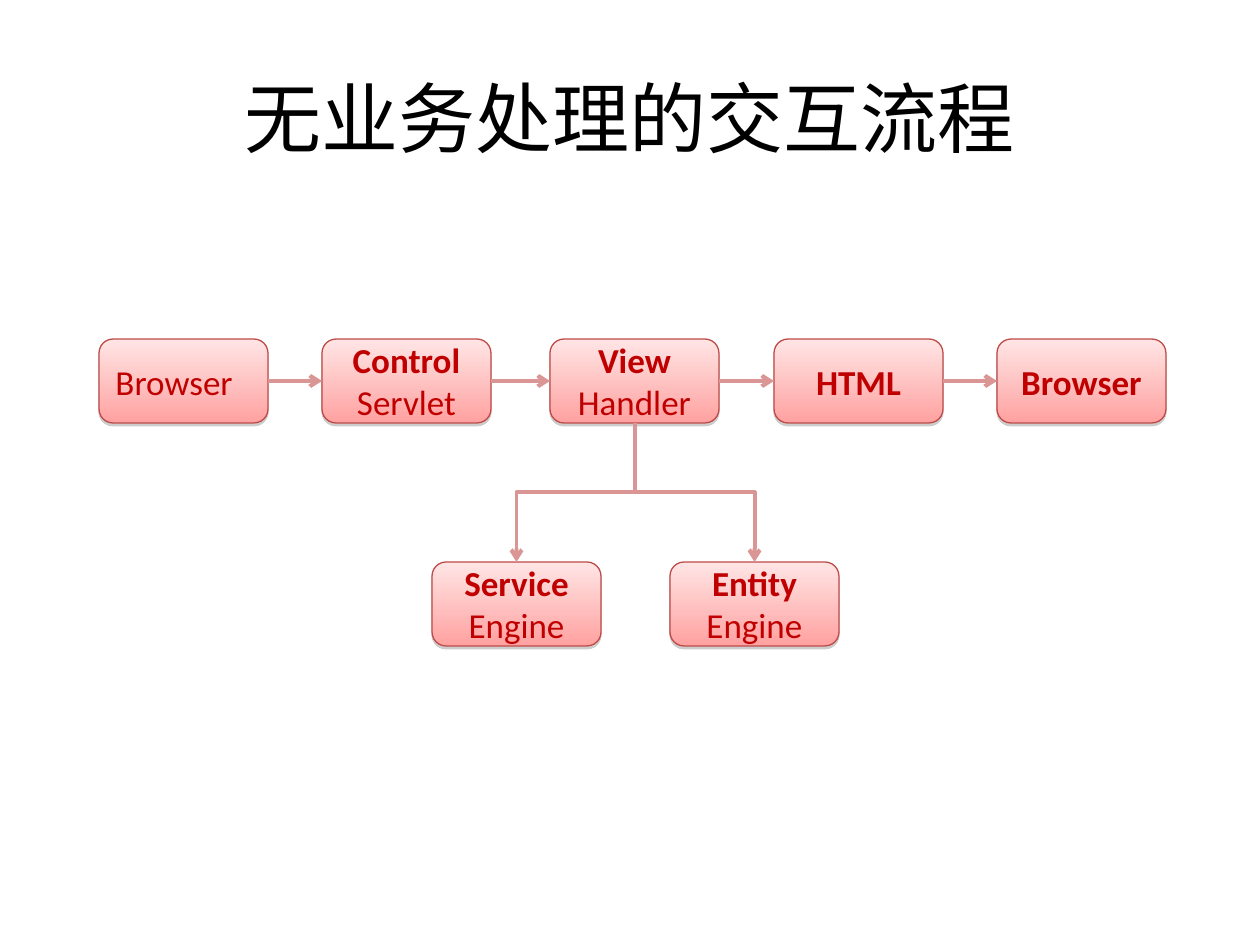
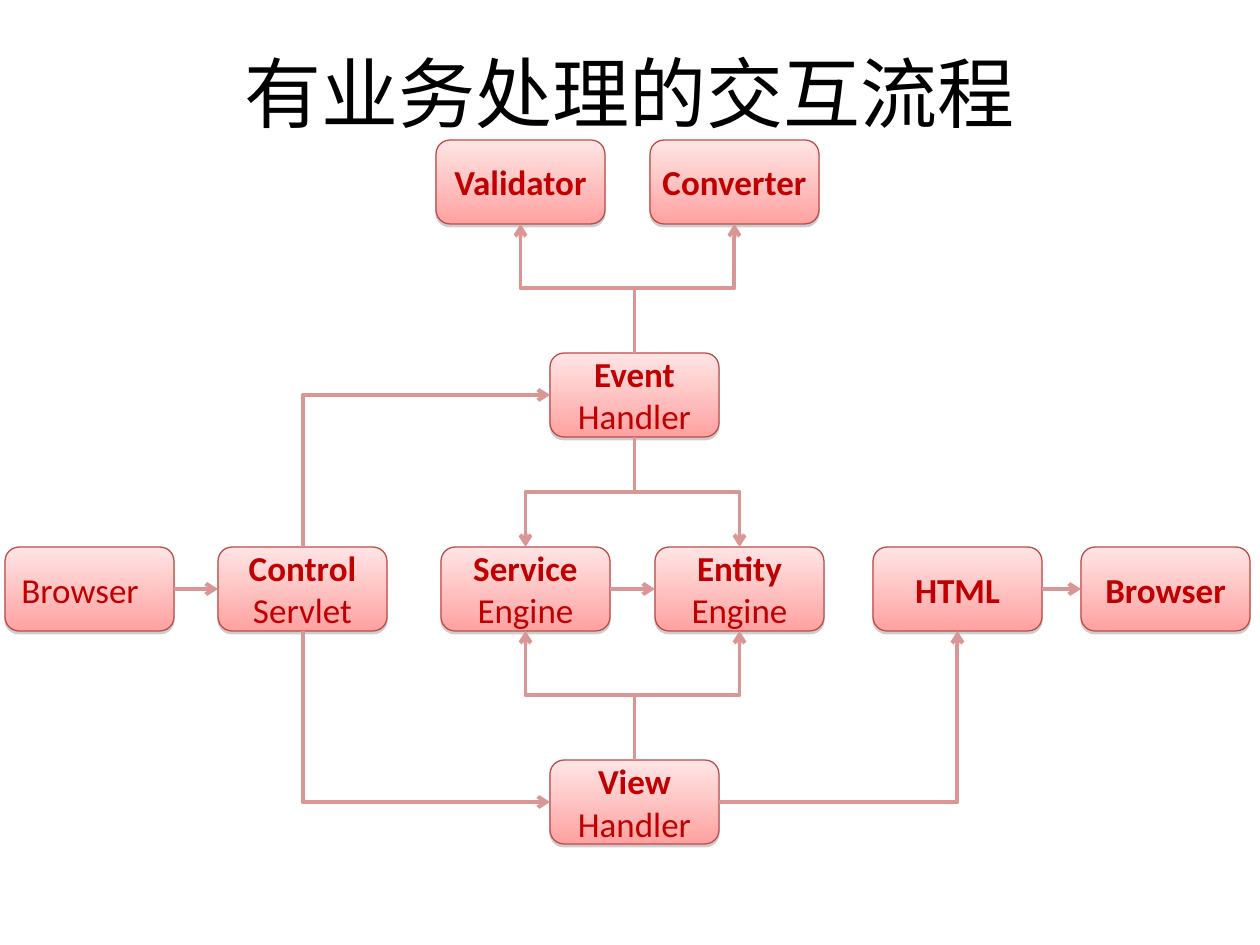
from dataclasses import dataclass
from enum import IntEnum

from lxml.etree import SubElement
from pptx import Presentation
from pptx.dml.color import RGBColor
from pptx.enum.shapes import MSO_CONNECTOR, MSO_SHAPE
from pptx.enum.text import MSO_ANCHOR, PP_ALIGN
from pptx.oxml.ns import qn
from pptx.shapes.autoshape import Shape
from pptx.slide import Slide
from pptx.util import Emu, Pt

EMU_PER_PX = 914400 / 126
FONT = "Calibri"
COLORS = {
    "title": "000000",
    "text": "C00000",
    "top": "FFE5E5",
    "bottom": "FFA2A1",
    "border": "BE4B48",
    "arrow": "D99694",
    "shadow": "808080",
}
BOX_WIDTH, BOX_HEIGHT = 169, 84
CENTER_LEFT = 550


class Side(IntEnum):
    """Connection sites of a box."""

    TOP = 0
    LEFT = 1
    BOTTOM = 2
    RIGHT = 3


@dataclass(frozen=True)
class Node:
    """A labelled box; a plain one is light and left-aligned."""

    key: str
    label: str
    left: int
    top: int
    plain: bool = False


@dataclass(frozen=True)
class Link:
    """An arrow between the sides of two boxes."""

    start: str
    end: str
    start_side: Side = Side.RIGHT
    end_side: Side = Side.LEFT


@dataclass(frozen=True)
class Flow:
    """One slide: a title, its boxes and its arrows."""

    title: str
    title_top: int
    nodes: list[Node]
    links: list[Link]


def fork(start: str, ends: tuple[str, str], side: Side) -> list[Link]:
    """Return arrows that leave one side of a box for the facing side of two others."""
    facing = Side.TOP if side == Side.BOTTOM else Side.BOTTOM
    return [Link(start, end, side, facing) for end in ends]


ENGINES = ("service", "entity")
MAIN_ROW, ENGINE_ROW = 339, 562
CHECK_ROW, EVENT_ROW, MIDDLE_ROW, VIEW_ROW = 140, 353, 547, 760

FLOWS = [
    Flow(
        "无业务处理的交互流程",
        38,
        [
            Node("request", "Browser", 99, MAIN_ROW, plain=True),
            Node("control", "Control\nServlet", 322, MAIN_ROW),
            Node("view", "View\nHandler", CENTER_LEFT, MAIN_ROW),
            Node("html", "HTML", 774, MAIN_ROW),
            Node("response", "Browser", 997, MAIN_ROW),
            Node("service", "Service\nEngine", 432, ENGINE_ROW),
            Node("entity", "Entity\nEngine", 670, ENGINE_ROW),
        ],
        [
            Link("request", "control"),
            Link("control", "view"),
            Link("view", "html"),
            Link("html", "response"),
            *fork("view", ENGINES, Side.BOTTOM),
        ],
    ),
    Flow(
        "有业务处理的交互流程",
        13,
        [
            Node("validator", "Validator", 436, CHECK_ROW),
            Node("converter", "Converter", 650, CHECK_ROW),
            Node("event", "Event\nHandler", CENTER_LEFT, EVENT_ROW),
            Node("request", "Browser", 5, MIDDLE_ROW, plain=True),
            Node("control", "Control\nServlet", 218, MIDDLE_ROW),
            Node("service", "Service\nEngine", 441, MIDDLE_ROW),
            Node("entity", "Entity\nEngine", 655, MIDDLE_ROW),
            Node("html", "HTML", 873, MIDDLE_ROW),
            Node("response", "Browser", 1081, MIDDLE_ROW),
            Node("view", "View\nHandler", CENTER_LEFT, VIEW_ROW),
        ],
        [
            Link("request", "control"),
            Link("service", "entity"),
            Link("html", "response"),
            Link("control", "event", Side.TOP),
            Link("control", "view", Side.BOTTOM),
            Link("view", "html", Side.RIGHT, Side.BOTTOM),
            *fork("event", ("validator", "converter"), Side.TOP),
            *fork("event", ENGINES, Side.BOTTOM),
            *fork("view", ENGINES, Side.TOP),
        ],
    ),
]


def px(length: int) -> Emu:
    """Convert pixels to EMU."""
    return Emu(round(length * EMU_PER_PX))


def color(name: str) -> RGBColor:
    """Look up a colour by its role."""
    return RGBColor.from_string(COLORS[name])


def write(shape: Shape, text: str, size: int, color_name: str, align: PP_ALIGN) -> None:
    """Put vertically centred text in a shape."""
    frame = shape.text_frame
    frame.text = text
    frame.vertical_anchor = MSO_ANCHOR.MIDDLE
    for para in frame.paragraphs:
        para.alignment = align
        for span in para.runs:
            span.font.name = FONT
            span.font.size = Pt(size)
            span.font.color.rgb = color(color_name)


def add_title(page: Slide, text: str, top: int) -> None:
    """Draw the slide title."""
    box = page.shapes.add_textbox(px(63), px(top), px(1134), px(158))
    box.text_frame.word_wrap = True
    write(box, text, 44, "title", PP_ALIGN.CENTER)


def add_drop_shadow(shape: Shape) -> None:
    """Give a shape a short, sharp shadow below."""
    shape.shadow.inherit = False
    effects = shape.element.spPr.find(qn("a:effectLst"))
    shadow = SubElement(
        effects, qn("a:outerShdw"), blurRad="0", dist=str(Pt(1.6)),
        dir="5400000", rotWithShape="0",
    )
    tint = SubElement(shadow, qn("a:srgbClr"), val=COLORS["shadow"])
    SubElement(tint, qn("a:alpha"), val="38000")


def add_node(page: Slide, node: Node) -> Shape:
    """Draw a labelled box with a vertical gradient."""
    box = page.shapes.add_shape(
        MSO_SHAPE.ROUNDED_RECTANGLE,
        px(node.left), px(node.top), px(BOX_WIDTH), px(BOX_HEIGHT),
    )
    box.fill.gradient()
    box.fill.gradient_angle = 270
    for stop, name, position in zip(box.fill.gradient_stops, ("top", "bottom"), (0, 1)):
        stop.color.rgb = color(name)
        stop.position = position
    box.line.color.rgb = color("border")
    box.line.width = Pt(0.75)
    add_drop_shadow(box)
    align = PP_ALIGN.LEFT if node.plain else PP_ALIGN.CENTER
    write(box, node.label, 20, "text", align)
    box.text_frame.word_wrap = node.plain
    box.text_frame.paragraphs[0].runs[0].font.bold = not node.plain
    return box


def site(box: Shape, side: Side) -> tuple[int, int]:
    """Return the middle of one side of a box."""
    x = {Side.LEFT: 0, Side.RIGHT: box.width}.get(side, box.width // 2)
    y = {Side.TOP: 0, Side.BOTTOM: box.height}.get(side, box.height // 2)
    return box.left + x, box.top + y


def add_link(page: Slide, boxes: dict[str, Shape], link: Link) -> None:
    """Draw an arrow, straight within a row and bent between rows."""
    start, end = boxes[link.start], boxes[link.end]
    x1, y1 = site(start, link.start_side)
    x2, y2 = site(end, link.end_side)
    kind = MSO_CONNECTOR.STRAIGHT if y1 == y2 else MSO_CONNECTOR.ELBOW
    arrow = page.shapes.add_connector(kind, x1, y1, x2, y2)
    arrow.begin_connect(start, link.start_side)
    arrow.end_connect(end, link.end_side)
    arrow.line.color.rgb = color("arrow")
    arrow.line.width = Pt(2.25)
    properties = arrow.element.spPr
    SubElement(properties.find(qn("a:ln")), qn("a:tailEnd"), type="arrow")
    SubElement(properties, qn("a:effectLst"))

    upright = link.start_side in (Side.TOP, Side.BOTTOM)
    if upright != (link.end_side in (Side.TOP, Side.BOTTOM)):
        properties.find(qn("a:prstGeom")).set("prst", "bentConnector2")
    if upright:
        width, height = abs(y2 - y1), abs(x2 - x1)
        arrow.left, arrow.top = (x1 + x2 - width) // 2, (y1 + y2 - height) // 2
        arrow.width, arrow.height = width, height
        turn = 270 if (x2 > x1) == (y2 > y1) else 90
        frame = properties.find(qn("a:xfrm"))
        frame.set("rot", str(turn * 60000))
        frame.set("flipH", str(int(x2 > x1)))
        frame.set("flipV", str(int(y2 < y1)))


def main() -> None:
    """Build the deck."""
    deck = Presentation()
    deck.slide_width, deck.slide_height = px(1260), px(945)
    for flow in FLOWS:
        page = deck.slides.add_slide(deck.slide_layouts[6])
        add_title(page, flow.title, flow.title_top)
        boxes = {node.key: add_node(page, node) for node in flow.nodes}
        for link in flow.links:
            add_link(page, boxes, link)
    deck.save("out.pptx")


if __name__ == "__main__":
    main()
